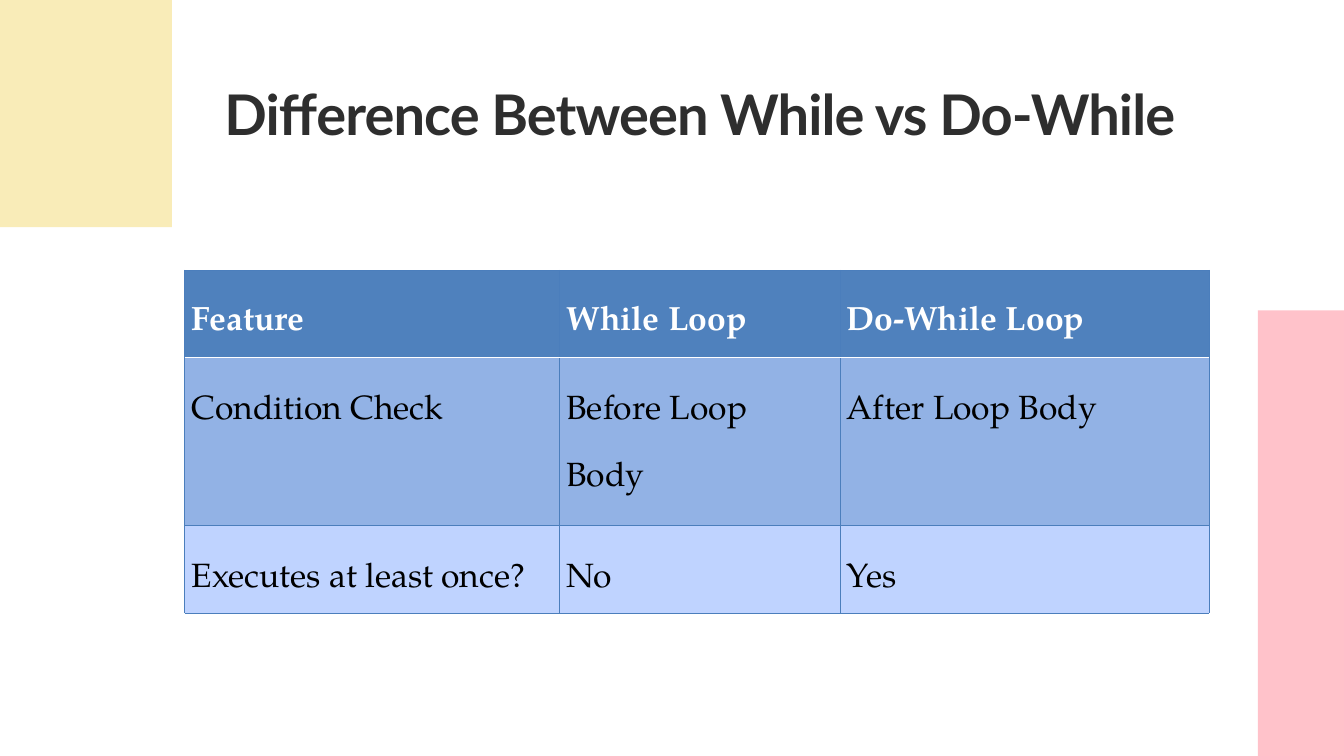
from lxml import etree
from pptx import Presentation
from pptx.dml.color import RGBColor
from pptx.enum.shapes import MSO_SHAPE
from pptx.enum.text import MSO_AUTO_SIZE
from pptx.oxml.ns import qn
from pptx.util import Inches, Pt

RECTANGLE = MSO_SHAPE.RECTANGLE
GROW = MSO_AUTO_SIZE.SHAPE_TO_FIT_TEXT

YELLOW = RGBColor(0xF9, 0xEC, 0xB8)
PINK = RGBColor(0xFF, 0xC2, 0xCA)
DARK = RGBColor(0x2E, 0x2E, 0x2E)
WHITE = RGBColor(0xFF, 0xFF, 0xFF)
BLACK = RGBColor(0, 0, 0)
HEADER_BLUE = RGBColor(0x4F, 0x81, 0xBD)
BAND_BLUE = RGBColor(0x92, 0xB2, 0xE5)
PALE_BLUE = RGBColor(0xBF, 0xD3, 0xFF)
BORDER_BLUE = RGBColor(0x4B, 0x7E, 0xBC)


def add_text(para, text, color, **formats):
    span = para.add_run()
    span.text = text
    span.font.color.rgb = color
    for name, value in formats.items():
        setattr(span.font, name, value)
    return span


def add_border(cell, side, color, width):
    properties = cell._tc.get_or_add_tcPr()
    line = etree.SubElement(properties, qn("a:ln" + side), w=str(Pt(width)))
    fill = etree.SubElement(line, qn("a:solidFill"))
    etree.SubElement(fill, qn("a:srgbClr"), val=str(color))


deck = Presentation()
deck.slide_width, deck.slide_height = Inches(20), Inches(11.25)
page = deck.slides.add_slide(deck.slide_layouts[6])

# Corner blocks
for left, top, width, height, color in [
    (0, 0, 2.56, 3.38, YELLOW),
    (18.72, 4.62, 1.28, 6.63, PINK),
]:
    block = page.shapes.add_shape(
        RECTANGLE, Inches(left), Inches(top), Inches(width), Inches(height))
    block.shadow.inherit = False
    block.fill.solid()
    block.fill.fore_color.rgb = color
    block.line.fill.background()

# Title
box = page.shapes.add_textbox(Inches(3.34), Inches(1.21), Inches(15.24), Inches(0.98))
frame = box.text_frame
frame_format = {"word_wrap": True, "auto_size": GROW, "margin_left": 0,
                "margin_top": 0, "margin_right": 0, "margin_bottom": 0}
for name, value in frame_format.items():
    setattr(frame, name, value)
para = frame.paragraphs[0]
para.line_spacing = Pt(70)
title = add_text(para, "Difference Between While vs Do-While", DARK,
                 name="Lato", size=Pt(60), bold=True)
title.font._element.set("spc", "-100")

# Comparison table: text, fill and text colour of each row
rows = [
    (("Feature", "While Loop", "Do-While Loop"), HEADER_BLUE, WHITE),
    (("Condition Check", "Before Loop Body", "After Loop Body"), BAND_BLUE, BLACK),
    (("Executes at least once?", "No", "Yes"), PALE_BLUE, BLACK),
]
holder = page.shapes.add_table(
    len(rows), 3, Inches(2.75), Inches(4.02), Inches(15.24), Inches(3.4))
table = holder.table
for column, width in zip(table.columns, (5.58, 4.17, 5.49)):
    column.width = Inches(width)
for row in table.rows:
    row.height = Inches(0.41)  # rows grow to fit their text
holder.height = Inches(3.4)

for r, (texts, fill_color, text_color) in enumerate(rows):
    for c, text in enumerate(texts):
        cell = table.cell(r, c)
        for side in "LRTB":
            # A white rule parts the header from the body
            under_header = (r, side) in [(0, "B"), (1, "T")]
            color, width = (WHITE, 2) if under_header else (BORDER_BLUE, 0.75)
            add_border(cell, side, color, width)
        cell.fill.solid()
        cell.fill.fore_color.rgb = fill_color
        para = cell.text_frame.paragraphs[0]
        para.line_spacing = 2.0
        add_text(para, text, text_color, name="TeX Gyre Pagella",
                 size=Pt(36), bold=r == 0)

deck.save("out.pptx")
